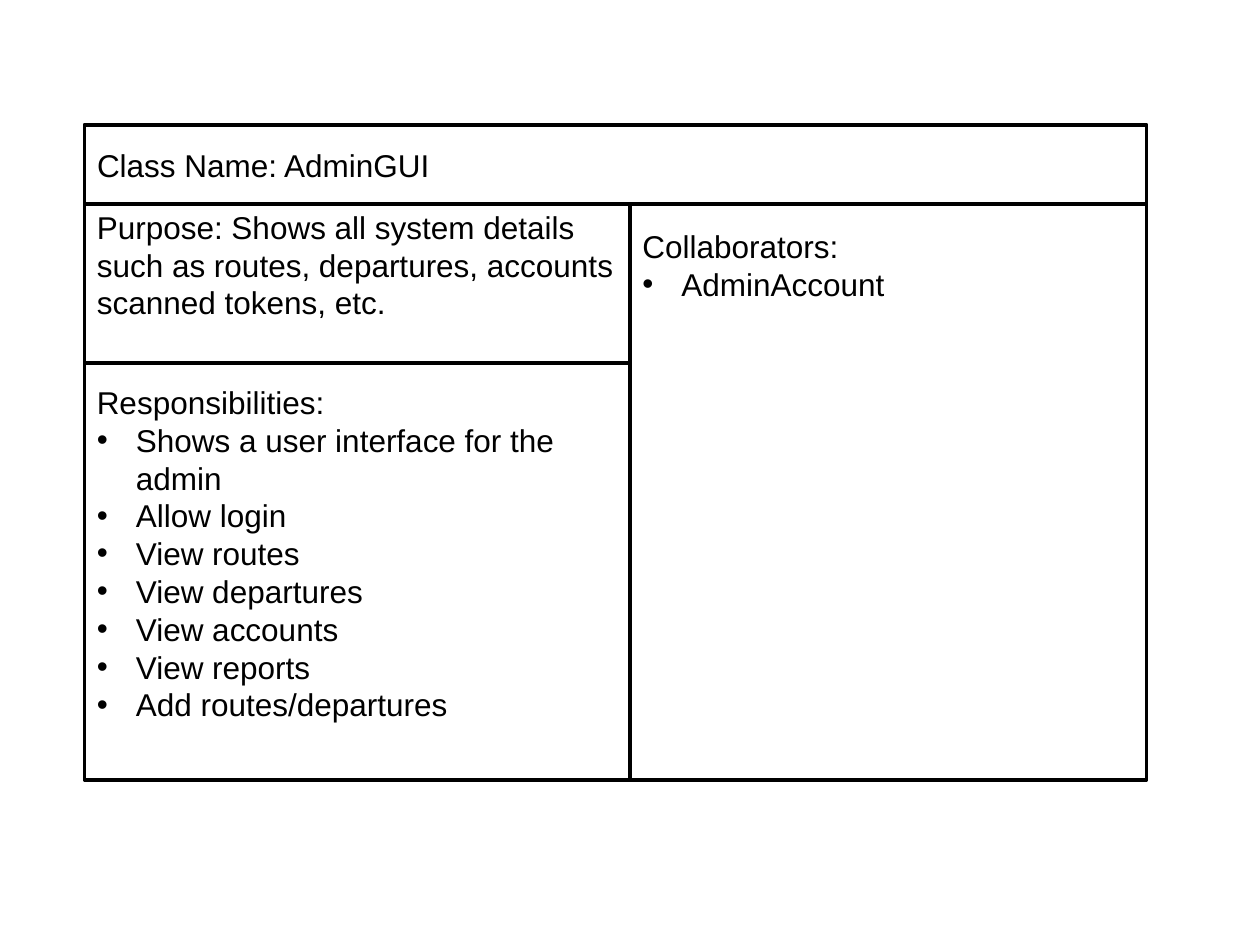
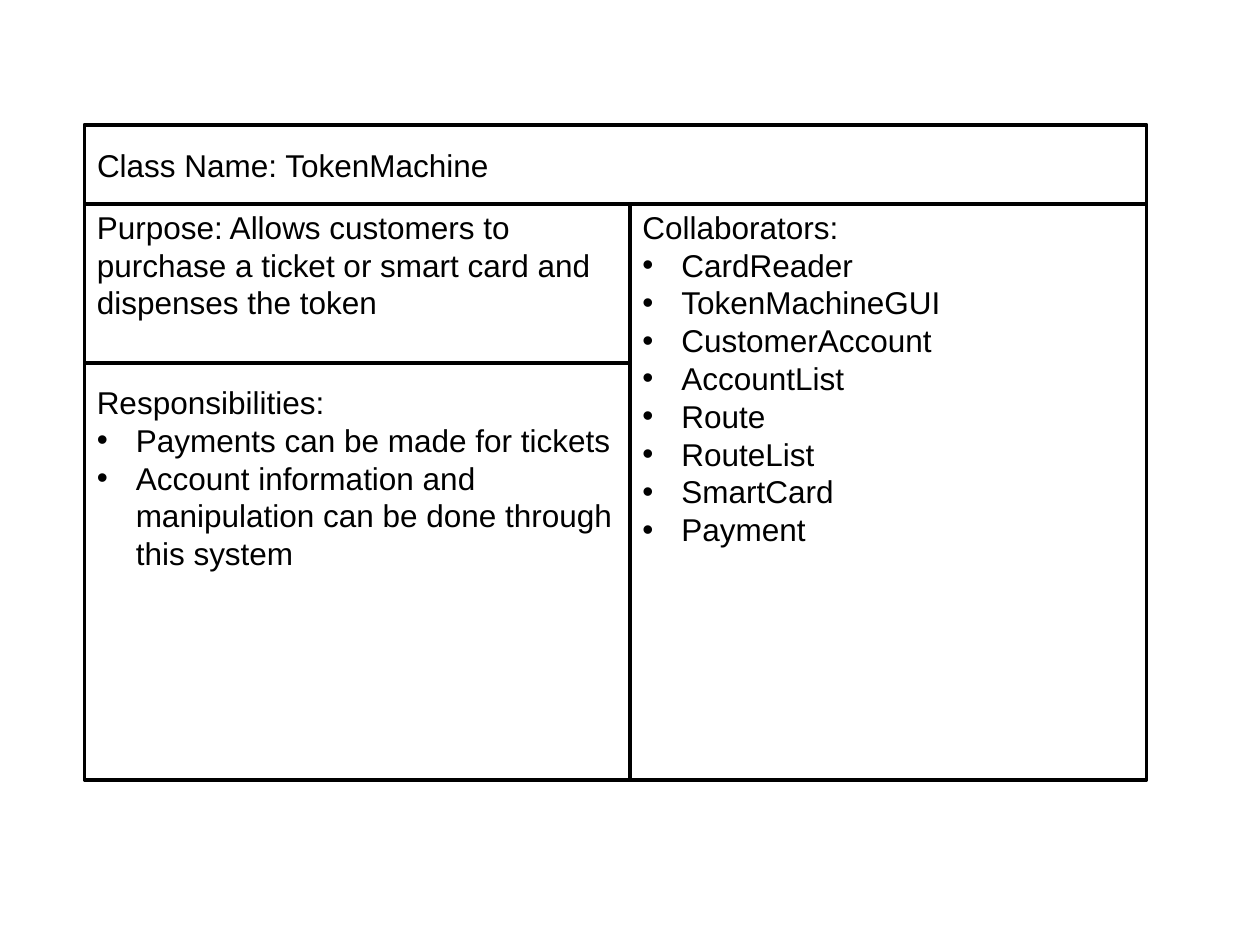
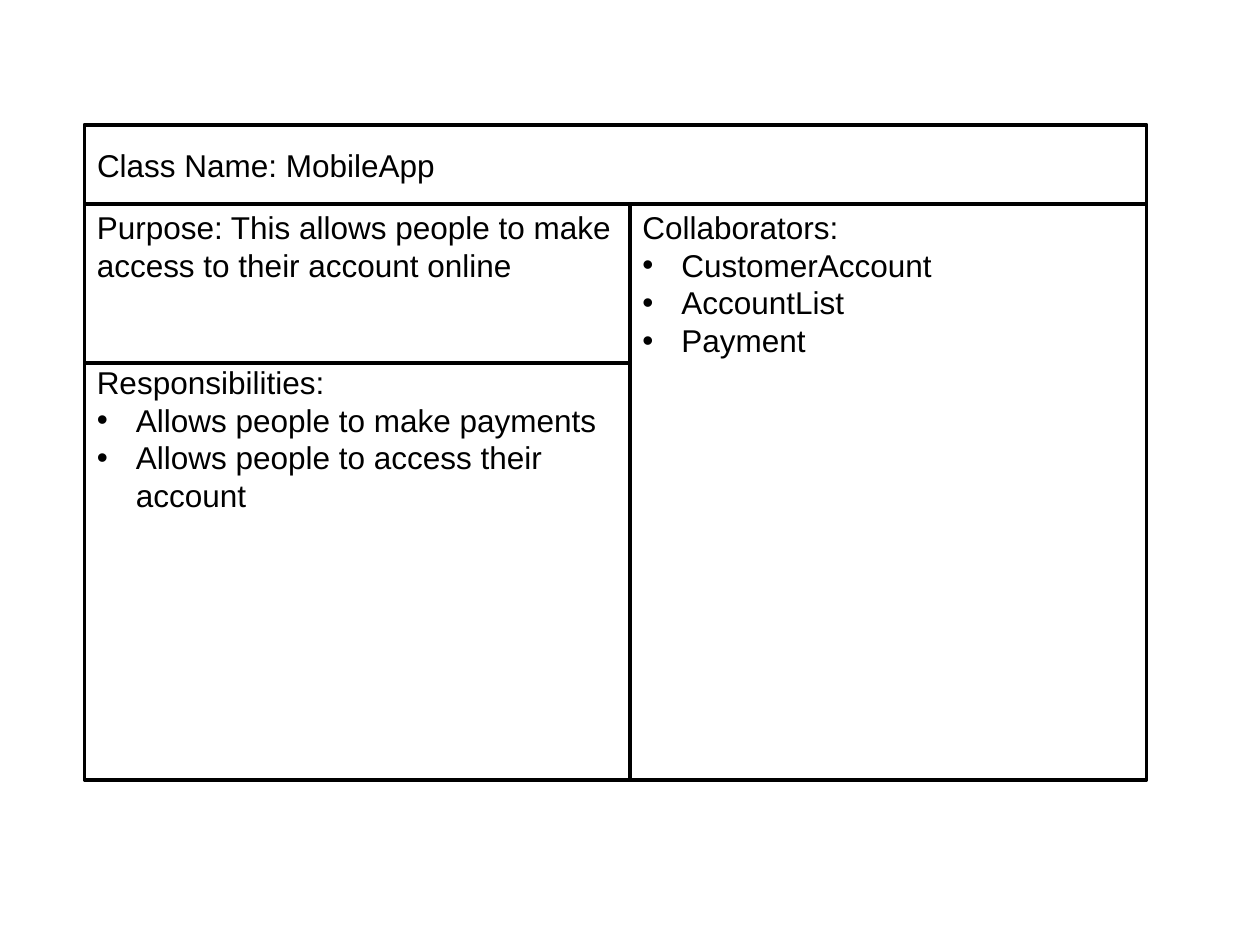
from dataclasses import dataclass

from lxml import etree
from pptx import Presentation
from pptx.dml.color import RGBColor
from pptx.enum.shapes import MSO_SHAPE
from pptx.enum.text import MSO_ANCHOR, MSO_AUTO_SIZE, PP_ALIGN
from pptx.oxml.ns import qn
from pptx.util import Inches, Pt

RECT = MSO_SHAPE.RECTANGLE
TOP, MIDDLE = MSO_ANCHOR.TOP, MSO_ANCHOR.MIDDLE
LEFT = PP_ALIGN.LEFT
NO_FIT = MSO_AUTO_SIZE.NONE
TITLE_ONLY = 5


@dataclass(frozen=True)
class Theme:
    ink: str = "000000"
    paper: str = "FFFFFF"
    font: str = "Arial"
    size: float = 18
    leading: float = 21.6
    border: float = 2
    side_pad: float = 0.1
    indent: float = 0.31


# The grid has 100 columns and rows of 0.09 inch; these are the card's edges on it.
COLUMN, ROW = 0.1, 0.09
CARD_LEFT, CARD_SPLIT, CARD_RIGHT = 6.7, 50, 91
NAME_TOP, PURPOSE_TOP, DUTIES_TOP, CARD_BOTTOM = 11, 18, 32, 68.78
PURPOSE_PAD = 0.03


@dataclass(frozen=True)
class Card:
    name: str
    purpose: str
    duties: tuple
    duties_pad: float
    collaborators: tuple
    collaborators_pad: float


CARDS = [
    Card(
        "AdminGUI",
        "Shows all system details such as routes, departures, accounts scanned tokens, etc.",
        ("Shows a user interface for the admin", "Allow login", "View routes",
         "View departures", "View accounts", "View reports", "Add routes/departures"),
        0.16,
        ("AdminAccount",),
        0.18,
    ),
    Card(
        "TokenMachine",
        "Allows customers to purchase a ticket or smart card and dispenses the token",
        ("Payments can be made for tickets",
         "Account information and manipulation can be done through this system"),
        0.16,
        ("CardReader", "TokenMachineGUI", "CustomerAccount", "AccountList",
         "Route", "RouteList", "SmartCard", "Payment"),
        0.03,
    ),
    Card(
        "MobileApp",
        "This allows people to make access to their account online",
        ("Allows people to make payments", "Allows people to access their account"),
        0,
        ("CustomerAccount", "AccountList", "Payment"),
        0.03,
    ),
]


class CardDeck:
    def __init__(self, theme):
        self.theme = theme
        self.prs = Presentation()
        self.prs.slide_width, self.prs.slide_height = Inches(10), Inches(7.5)
        self.s = None

    def add_slide(self):
        self.s = self.prs.slides.add_slide(self.prs.slide_layouts[TITLE_ONLY])

    def style_box(self, sp, anchor, top_pad):
        t, tf = self.theme, sp.text_frame
        sp.fill.solid()
        sp.fill.fore_color.rgb = RGBColor.from_string(t.paper)
        sp.line.color.rgb = RGBColor.from_string(t.ink)
        sp.line.width = Pt(t.border)
        tf.word_wrap = True
        tf.auto_size = NO_FIT
        tf.vertical_anchor = anchor
        tf.margin_left = tf.margin_right = Inches(t.side_pad)
        tf.margin_top = tf.margin_bottom = Inches(top_pad)

    def bullet(self, p):
        pPr = p._p.get_or_add_pPr()
        indent = Inches(self.theme.indent)
        pPr.set("marL", str(indent))
        pPr.set("indent", str(-indent))
        color = etree.SubElement(pPr, qn("a:buClr"))
        etree.SubElement(color, qn("a:srgbClr"), val=self.theme.ink)
        etree.SubElement(pPr, qn("a:buFont"), typeface=self.theme.font)
        etree.SubElement(pPr, qn("a:buChar"), char="•")

    def set_text(self, tf, heading, bullets=()):
        t = self.theme
        tf.text = heading
        for text in bullets:
            p = tf.add_paragraph()
            p.text = text
            self.bullet(p)
        for p in tf.paragraphs:
            p.alignment = LEFT
            p.line_spacing = Pt(t.leading)
            for r in p.runs:
                r.font.name = t.font
                r.font.size = Pt(t.size)
                r.font.color.rgb = RGBColor.from_string(t.ink)

    def area(self, left, top, right, bottom):
        """Turn grid edges into left, top, width and height."""
        return (Inches(left * COLUMN), Inches(top * ROW),
                Inches((right - left) * COLUMN), Inches((bottom - top) * ROW))

    def title(self, text, *edges):
        sp = self.s.shapes.title
        sp.left, sp.top, sp.width, sp.height = self.area(*edges)
        self.style_box(sp, MIDDLE, 0.05)
        self.set_text(sp.text_frame, text)

    def section(self, heading, bullets, top_pad, *edges):
        sp = self.s.shapes.add_shape(RECT, *self.area(*edges))
        sp.shadow.inherit = False
        self.style_box(sp, TOP, top_pad)
        self.set_text(sp.text_frame, heading, bullets)

    def class_card(self, card):
        self.add_slide()
        self.title(f"Class Name: {card.name}",
                   CARD_LEFT, NAME_TOP, CARD_RIGHT, PURPOSE_TOP)
        self.section(f"Purpose: {card.purpose}", (), PURPOSE_PAD,
                     CARD_LEFT, PURPOSE_TOP, CARD_SPLIT, DUTIES_TOP)
        self.section("Responsibilities:", card.duties, card.duties_pad,
                     CARD_LEFT, DUTIES_TOP, CARD_SPLIT, CARD_BOTTOM)
        self.section("Collaborators:", card.collaborators, card.collaborators_pad,
                     CARD_SPLIT, PURPOSE_TOP, CARD_RIGHT, CARD_BOTTOM)


def main():
    deck = CardDeck(Theme())
    for card in CARDS:
        deck.class_card(card)
    deck.prs.save("out.pptx")


if __name__ == "__main__":
    main()
